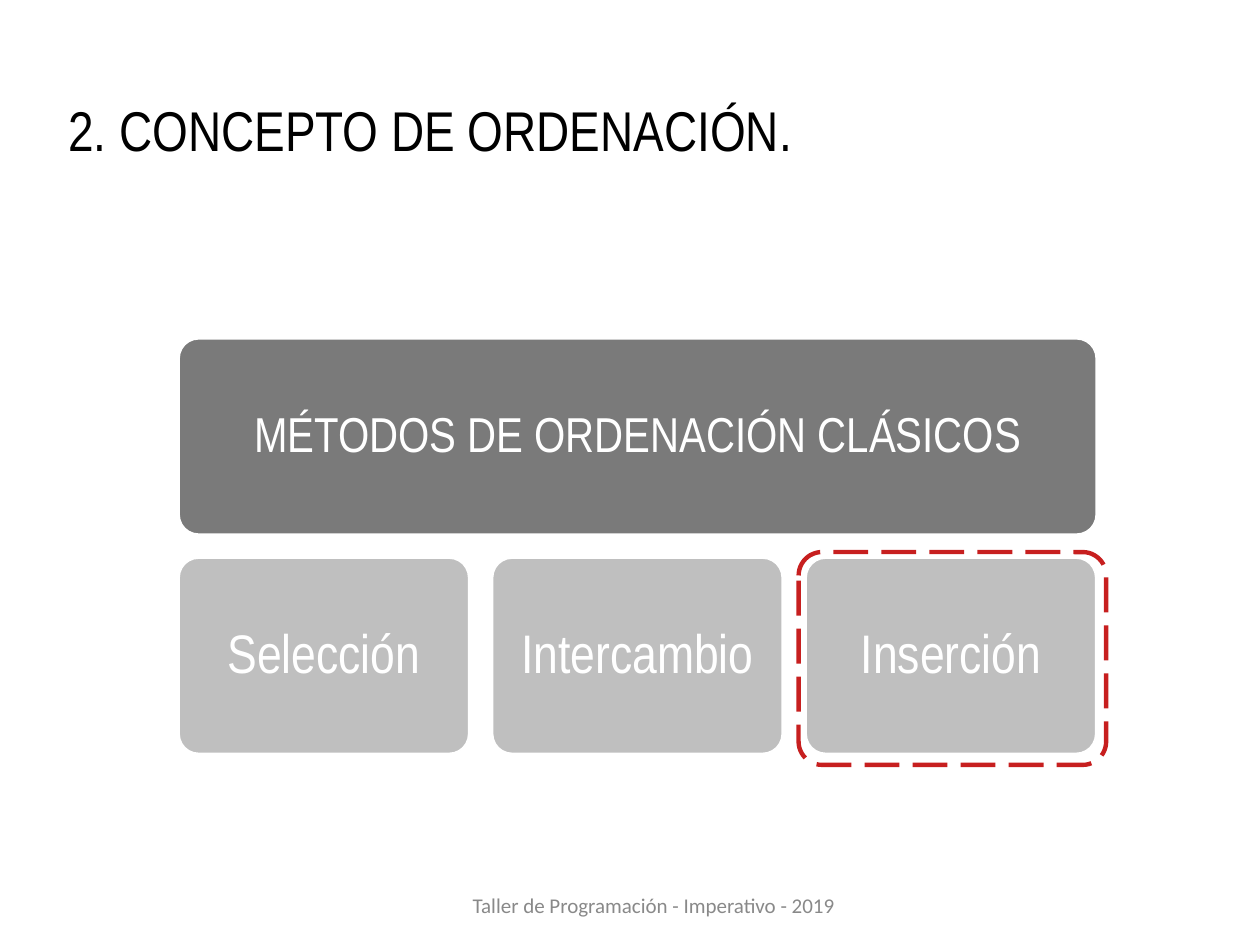
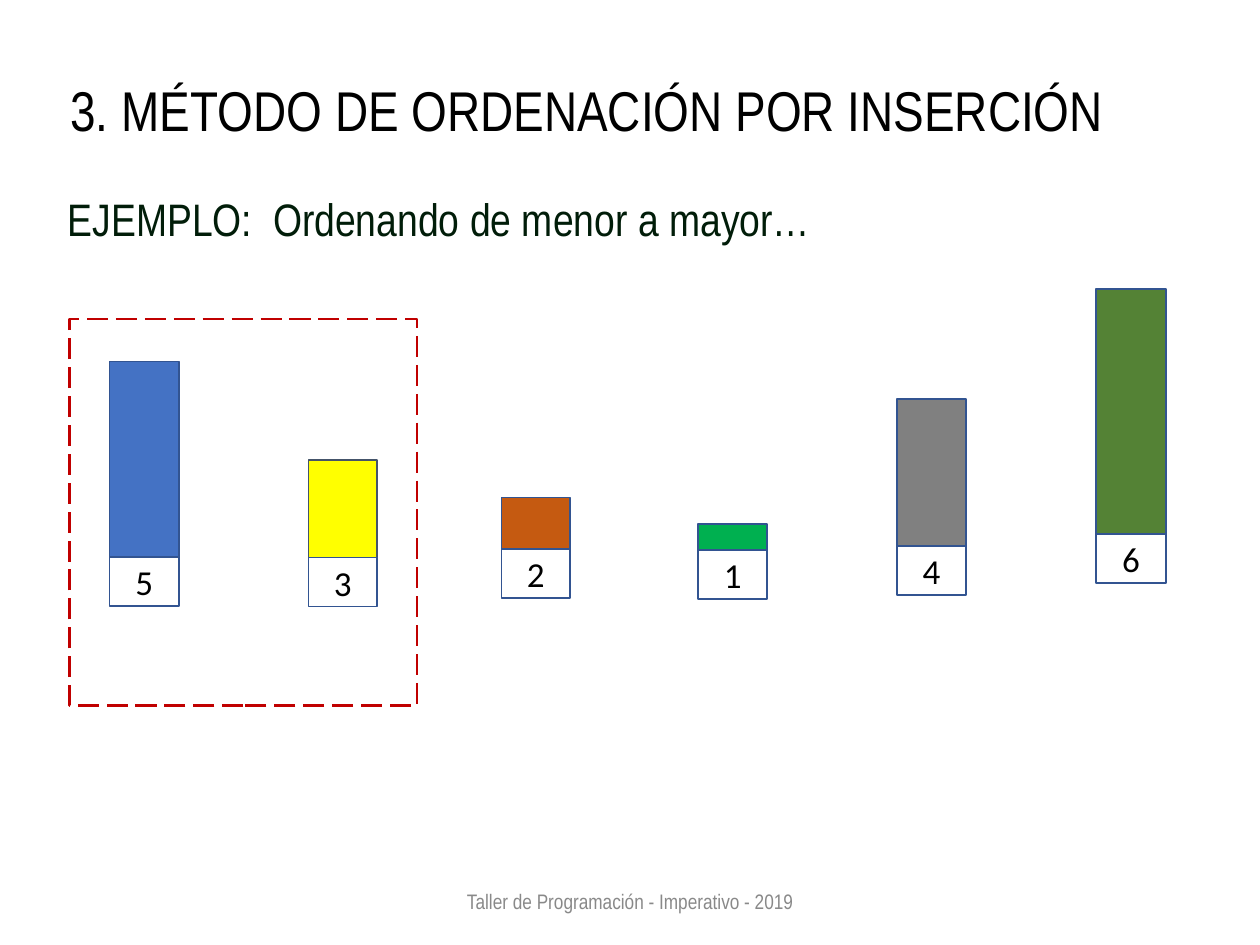
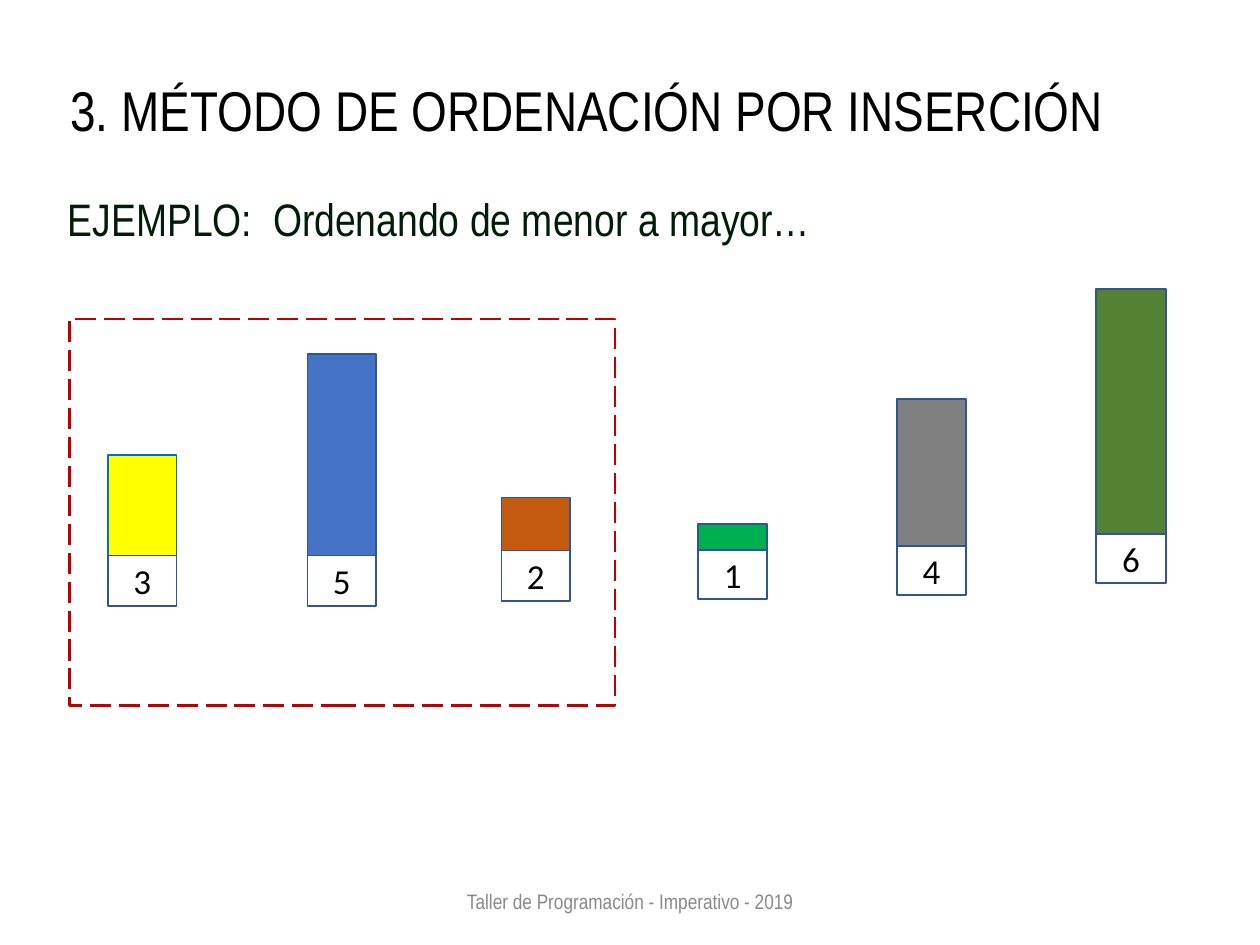
from lxml import etree
from pptx import Presentation
from pptx.dml.color import RGBColor
from pptx.enum import dml, shapes, text
from pptx.oxml import ns
from pptx.util import Cm, Pt

BLACK = RGBColor(0x00, 0x00, 0x00)
WHITE = RGBColor(0xFF, 0xFF, 0xFF)
GREY = RGBColor(0x89, 0x89, 0x89)
DARK = RGBColor(0x59, 0x59, 0x59)
LIGHT = RGBColor(0xA5, 0xA5, 0xA5)
RED = RGBColor(0xC0, 0x00, 0x00)
PINE = RGBColor(0x01, 0x1D, 0x09)
NAVY = RGBColor(0x32, 0x54, 0x91)
SLATE = RGBColor(0x44, 0x54, 0x6A)
AZURE = RGBColor(0x00, 0x70, 0xC0)
YELLOW = RGBColor(0xFF, 0xFF, 0x00)

NARROW, PLAIN = "Arial Narrow", "Calibri"
LEFT, MID = text.PP_ALIGN.LEFT, text.PP_ALIGN.CENTER
RECT, ROUND = shapes.MSO_SHAPE.RECTANGLE, shapes.MSO_SHAPE.ROUNDED_RECTANGLE
FOOT = "Taller de Programación - Imperativo - 2019"
HUES = {
    1: RGBColor(0x00, 0xB0, 0x50),
    2: RGBColor(0xC5, 0x5A, 0x11),
    3: YELLOW,
    4: RGBColor(0x80, 0x80, 0x80),
    5: RGBColor(0x44, 0x72, 0xC4),
    6: RGBColor(0x54, 0x82, 0x35),
}


def write(shape, words, size, face, color, align=MID, anchor=text.MSO_ANCHOR.MIDDLE):
    frame = shape.text_frame
    frame.word_wrap = True
    frame.auto_size = text.MSO_AUTO_SIZE.NONE
    frame.vertical_anchor = anchor
    para = frame.paragraphs[0]
    para.alignment = align
    run = para.add_run()
    run.text = words
    run.font.size, run.font.name = Pt(size), face
    run.font.color.rgb = color
    return frame


def box(home, kind, place, fill, edge, width=1, clear=None, dash=False):
    shape = home.shapes.add_shape(kind, *map(Cm, place))
    shape.shadow.inherit = False
    if fill is None:
        shape.fill.background()
    else:
        shape.fill.solid()
        shape.fill.fore_color.rgb = fill
    shape.line.color.rgb = edge
    shape.line.width = Pt(width)
    if dash:
        shape.line.dash_style = dml.MSO_LINE.LONG_DASH
    if clear:
        # Opacity goes on the fill, or on the line of an unfilled shape
        tint = next(shape.element.spPr.iter(ns.qn("a:srgbClr")))
        etree.SubElement(tint, ns.qn("a:alpha"), val=str(clear * 1000))
    return shape


deck = Presentation()
deck.slide_width, deck.slide_height = Cm(25.4), Cm(19.05)

# Bars: number, left, top, bar height, label height, width, edge
rest = [
    (1, 14.07, 10.57, 0.52, 0.99, 1.4, NAVY),
    (4, 18.08, 8.05, 2.96, 0.99, 1.4, NAVY),
    (6, 22.1, 5.82, 4.94, 0.99, 1.4, NAVY),
]
first = [
    (5, 2.21, 7.29, 3.94, 0.99, 1.4, NAVY),
    (3, 6.22, 9.27, 1.97, 0.99, 1.38, SLATE),
    (2, 10.11, 10.03, 1.04, 0.99, 1.38, NAVY),
]
second = [
    (5, 6.2, 7.14, 4.06, 1.02, 1.38, NAVY),
    (3, 2.18, 9.17, 2.03, 1.02, 1.38, AZURE),
    (2, 10.11, 10.03, 1.07, 1.02, 1.38, NAVY),
]

# Title, its place and alignment, footer place and font, bars, frame width
concept = ("2. CONCEPTO DE ORDENACIÓN.", (1.12, 1.02, 23.5, 2.41), LEFT,
           (7.39, 17.73, 11.58, 1.02), PLAIN, [], 0)
method = ("3. MÉTODO DE ORDENACIÓN POR INSERCIÓN", (0.89, 0.91, 21.9, 2.11), MID,
          (8.41, 17.65, 8.59, 1.02), NARROW)
pages = [concept, (*method, first + rest, 7.01), (*method, second + rest, 11)]

for head, spot, align, base, face, bars, span in pages:
    slide = deck.slides.add_slide(deck.slide_layouts[5])

    # Title and footer
    title = slide.shapes.title
    title.left, title.top, title.width, title.height = map(Cm, spot)
    frame = write(title, head, 32, NARROW, BLACK, align, text.MSO_ANCHOR.BOTTOM)
    frame.paragraphs[0].line_spacing = 0.9
    write(slide.shapes.add_textbox(*map(Cm, base)), FOOT, 12, face, GREY)

    # Sorting methods
    if not bars:
        cards = [("MÉTODOS DE ORDENACIÓN CLÁSICOS", 3.61, 6.83, 18.49, DARK, 80, 28)]
        for i, name in enumerate(["Selección", "Intercambio", "Inserción"]):
            cards.append((name, 3.61 + i * 6.32, 11.25, 5.84, LIGHT, 70, 31))
        for name, left, top, width, hue, clear, size in cards:
            card = box(slide, ROUND, (left, top, width, 3.94), hue, WHITE, clear=clear)
            card.adjustments[0] = 0.1
            frame = write(card, name, size, NARROW, WHITE)
            frame.margin_left = frame.margin_right = Cm(0.43)
            frame.paragraphs[0].line_spacing = 0.9
        mark = box(slide, ROUND, (16.1, 11.13, 6.2, 4.29), None, RED, 2.5, 88, True)
        mark.adjustments[0] = 0.11
        continue

    # Example heading
    note = slide.shapes.add_textbox(Cm(1.12), Cm(3.73), Cm(16.61), Cm(1.37))
    frame = write(note, "EJEMPLO:  Ordenando de menor a mayor…", 26, NARROW, PINE,
                  LEFT, text.MSO_ANCHOR.TOP)
    frame.auto_size = text.MSO_AUTO_SIZE.SHAPE_TO_FIT_TEXT

    # Numbered bars
    for num, left, top, tall, low, width, edge in bars:
        group = slide.shapes.add_group_shape()
        box(group, RECT, (left, top, width, tall), HUES[num], edge)
        label = box(group, RECT, (left, top + tall, width, low), None, NAVY)
        write(label, str(num), 20, PLAIN, BLACK)

    # Frame around the sorted part
    box(slide, RECT, (1.4, 6.43, span, 7.8), None, RED, 1.5, dash=True)

deck.save("out.pptx")
